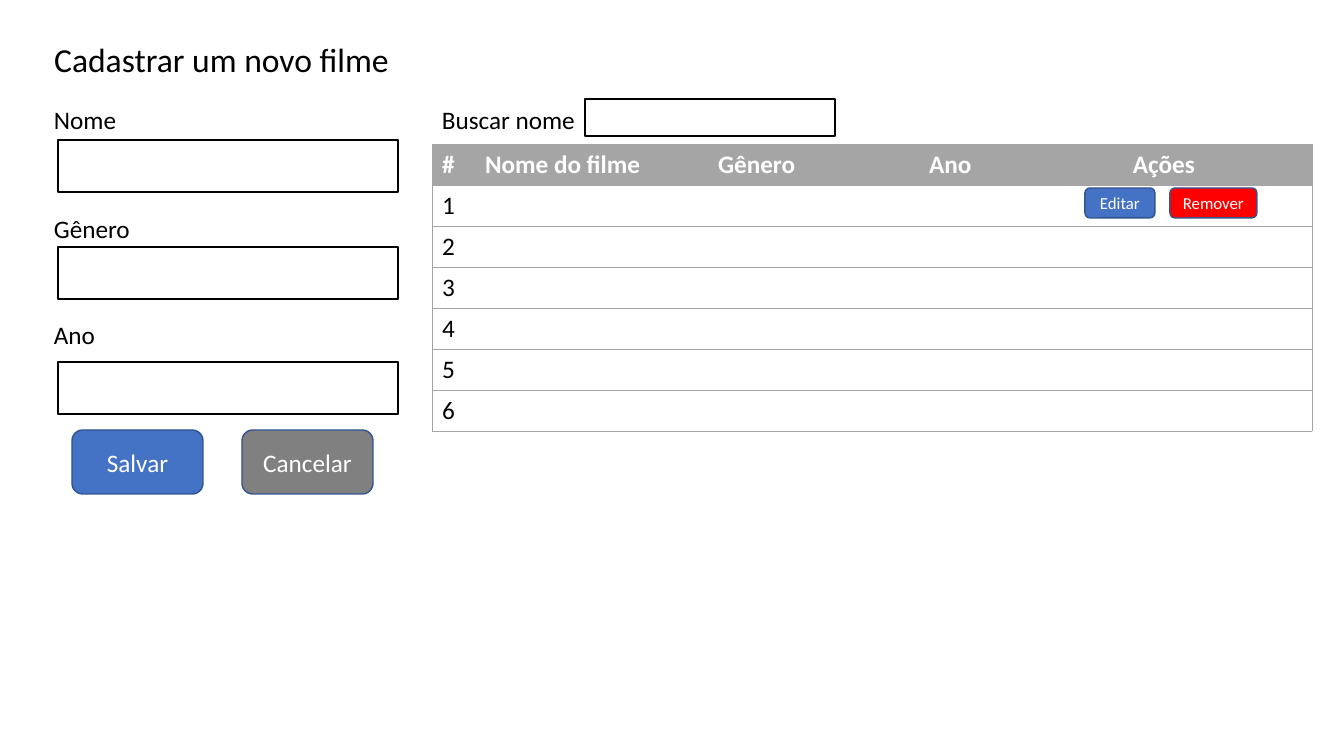
from lxml.etree import SubElement
from pptx import Presentation
from pptx.dml.color import RGBColor
from pptx.enum.shapes import MSO_SHAPE as SHAPE
from pptx.enum.text import MSO_ANCHOR as ANCHOR, MSO_AUTO_SIZE as FIT, PP_ALIGN as ALIGN
from pptx.oxml.ns import qn
from pptx.util import Pt

EMU_PER_PIXEL = 914400 / 100.8
FONT = "Calibri"
COLORS = {
    "black": "000000", "white": "FFFFFF", "grid": "A5A5A5", "blue": "4472C4",
    "navy": "325491", "gray": "808080", "red": "FF0000",
}
FORM_FIELDS = [("Nome", 99, 140), ("Gênero", 208, 247), ("Ano", 314, 362)]
BUTTONS = [
    ("Salvar", (72, 430, 131, 64), "blue", 18),
    ("Cancelar", (242, 430, 131, 64), "gray", 18),
    ("Editar", (1085, 188, 70, 30), "blue", 12),
    ("Remover", (1170, 188, 87, 30), "red", 12),
]
HEADERS = ["#", "Nome do filme", "Gênero", "Ano", "Ações"]
COLUMN_WIDTHS = [43, 233, 211, 97, 296]
ROW_HEIGHT = 41
MOVIE_COUNT = 6


def px(value):
    return round(value * EMU_PER_PIXEL)


def color(name):
    return RGBColor.from_string(COLORS[name])


def place(shape, area):
    shape.left, shape.top, shape.width, shape.height = map(px, area)


def write(frame, text, size, ink="black", align=ALIGN.LEFT, bold=False):
    frame.text = text
    para = frame.paragraphs[0]
    para.alignment = align
    for span in para.runs:
        span.font.name = FONT
        span.font.size = Pt(size)
        span.font.bold = bold
        span.font.color.rgb = color(ink)


def add_title(page, text, area):
    title = page.shapes.title
    place(title, area)
    frame = title.text_frame
    frame.auto_size = FIT.NONE
    frame.vertical_anchor = ANCHOR.TOP
    write(frame, text, 24)


def add_label(page, text, area):
    label = page.shapes.add_textbox(*map(px, area))
    label.text_frame.word_wrap = True
    write(label.text_frame, text, 18)


def add_box(page, kind, area, fill, line):
    box = page.shapes.add_shape(kind, *map(px, area))
    box.shadow.inherit = False
    box.fill.solid()
    box.fill.fore_color.rgb = color(fill)
    box.line.color.rgb = color(line)
    box.line.width = Pt(1)
    return box


def add_field(page, area):
    add_box(page, SHAPE.RECTANGLE, area, "white", "black")


def add_button(page, text, area, fill, size):
    frame = add_box(page, SHAPE.ROUNDED_RECTANGLE, area, fill, "navy").text_frame
    frame.word_wrap = False
    frame.vertical_anchor = ANCHOR.MIDDLE
    write(frame, text, size, "white", ALIGN.CENTER)


def set_borders(cell, visible_edges):
    properties = cell._tc.get_or_add_tcPr()
    for edge in "LRTB":
        line = SubElement(properties, qn(f"a:ln{edge}"), w=str(Pt(0.5)))
        if edge in visible_edges:
            fill = SubElement(line, qn("a:solidFill"))
            SubElement(fill, qn("a:srgbClr"), val=COLORS["grid"])
        else:
            SubElement(line, qn("a:noFill"))


def add_movie_table(page, left, top):
    rows = [HEADERS] + [[str(number), "", "", "", ""] for number in range(1, MOVIE_COUNT + 1)]
    area = (left, top, sum(COLUMN_WIDTHS), ROW_HEIGHT * len(rows))
    table = page.shapes.add_table(len(rows), len(HEADERS), *map(px, area)).table
    for column, width in zip(table.columns, COLUMN_WIDTHS):
        column.width = px(width)
    last = len(HEADERS) - 1
    for row_index, values in enumerate(rows):
        table.rows[row_index].height = px(ROW_HEIGHT)
        header = row_index == 0
        for column_index, text in enumerate(values):
            cell = table.cell(row_index, column_index)
            align = ALIGN.CENTER if column_index == last else ALIGN.LEFT
            write(cell.text_frame, text, 18, "white" if header else "black", align, header)
            set_borders(cell, "TB" + {0: "L", last: "R"}.get(column_index, ""))
            cell.fill.solid()
            cell.fill.fore_color.rgb = color("grid" if header else "white")


def main():
    """Build the movie registration screen and save it."""
    deck = Presentation()
    deck.slide_width, deck.slide_height = px(1344), px(756)
    page = deck.slides.add_slide(deck.slide_layouts[5])
    add_title(page, "Cadastrar um novo filme", (44, 34, 374, 50))
    for name, label_top, field_top in FORM_FIELDS:
        add_label(page, name, (44, label_top, 316, 40))
        add_field(page, (58, field_top, 340, 52))
    add_movie_table(page, 432, 144)
    for button in BUTTONS:
        add_button(page, *button)
    add_label(page, "Buscar nome", (432, 99, 392, 40))
    add_field(page, (585, 99, 250, 37))
    deck.save("out.pptx")


main()
